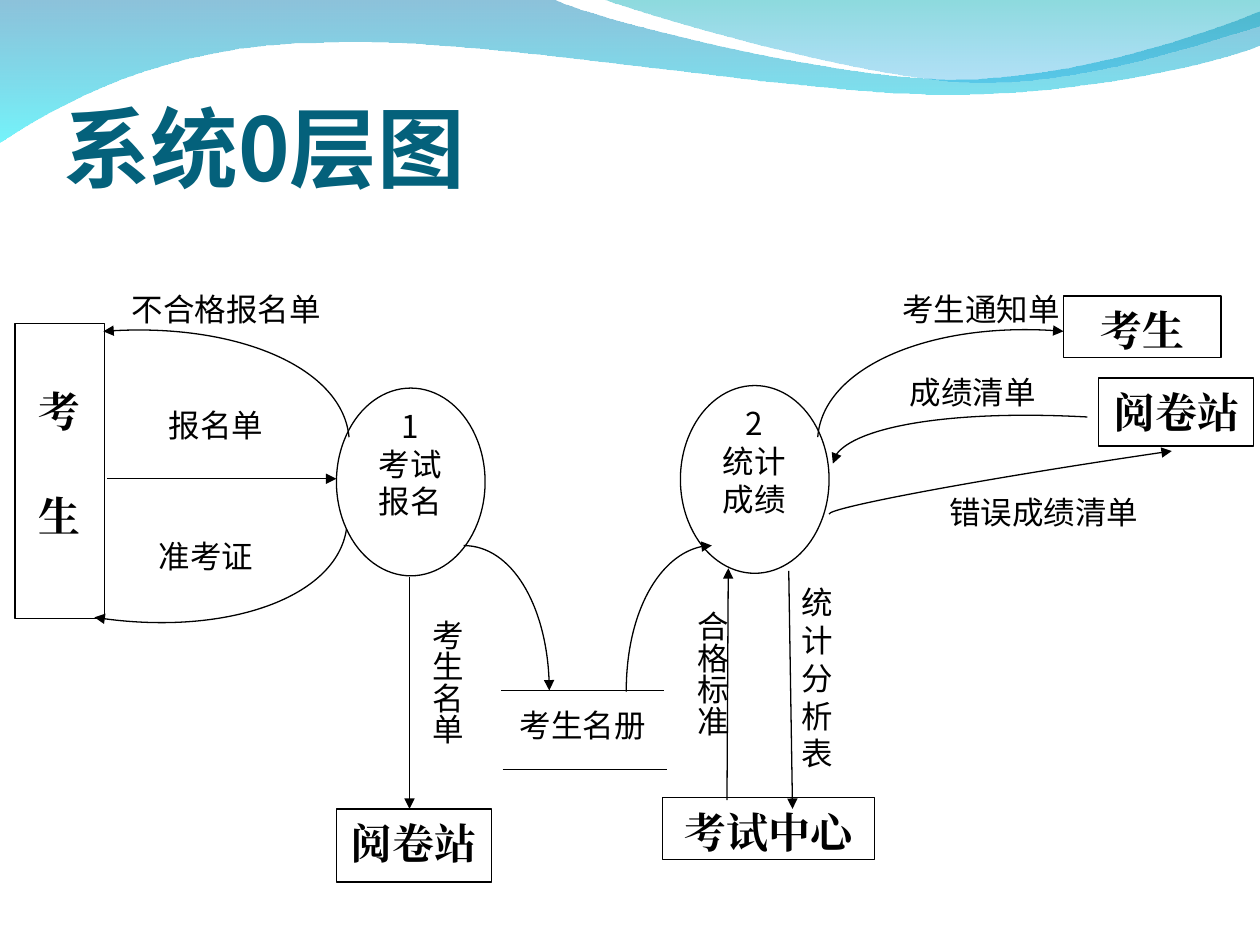
from lxml import etree
from pptx import Presentation
from pptx.dml.color import RGBColor
from pptx.enum.shapes import MSO_CONNECTOR as CONN, MSO_SHAPE as SHAPE
from pptx.enum.text import MSO_ANCHOR as ANCHOR, PP_ALIGN as ALIGN
from pptx.oxml import parse_xml
from pptx.oxml.ns import nsdecls, qn
from pptx.util import Cm, Pt

COLORS = {"title": "04617B", "ink": "000000"}
SANS, SERIF = "Noto Sans CJK SC", "Times New Roman"

# All coordinates are on an inch grid; u() turns them into Cm lengths.
TITLE = ("系统0层图", (0.5, 0.33, 9, 1.25))

# Outline: start point, then 1 point for a straight side or 3 for a Bezier.
WAVES = [
    ((0, 0), [
        [(4.4, 0)],
        [(4.76, 0.17), (6.64, 0.63), (7.58, 0.63)],
        [(8.53, 0.63), (9.58, 0.26), (10, 0.09)],
        [(10, 0.36)],
        [(9.83, 0.44), (8.7, 0.76), (7.46, 0.75)],
        [(6.22, 0.75), (3.82, 0.28), (2.57, 0.34)],
        [(1.29, 0.35), (0.46, 0.83), (0, 1.13)],
    ], [(0, "0079AF", 45), (100, "00EBF8", 55)]),
    ((4.79, 0), [
        [(5.09, 0.11), (6.82, 0.62), (7.69, 0.65)],
        [(8.56, 0.69), (9.61, 0.32), (10, 0.21)],
        [(10, 0)],
    ], [(0, "00ADB6", 45), (100, "009BE5", 30)]),
]

PROCESSES = [
    (["1", "考试", "报名"], (2.67, 3.08)),
    (["2", "统计", "成绩"], (5.4, 3.06)),
]
PROCESS_SIZE = (1.18, 1.49)

ENTITIES = [
    (["考生"], (8.44, 2.35, 1.25, 0.49)),
    (["考", "生"], (0.12, 2.57, 0.71, 2.34)),
    (["阅卷站"], (2.67, 6.42, 1.23, 0.58)),
    (["考试中心"], (5.26, 6.33, 1.68, 0.49)),
    (["阅卷站"], (8.72, 3, 1.23, 0.54)),
]

# Text, box, line spacing
LABELS = [
    ("不合格报名单", (0.67, 2.25, 2.25, 0.81), None),
    ("报名单", (1.06, 3.17, 1.31, 0.82), None),
    ("准考证", (0.98, 4.21, 1.31, 0.82), None),
    ("统计分析表", (6.25, 4.58, 0.48, 0.79), None),
    ("考生通知单", (6.94, 2.25, 1.69, 0.82), None),
    ("错误成绩清单", (7.29, 3.96, 1.99, 0.37), 0.64),
    ("成绩清单", (6.94, 3.01, 1.56, 0.21), 0.64),
    ("考生名册", (3.96, 5.55, 1.33, 0.79), None),
]
VERTICAL_LABELS = [
    ("考生名单", (2.91, 4.82, 0.84, 1.77)),
    ("合格标准", (5.01, 4.75, 0.84, 1.77)),
]

ARROWS = [
    ((0.85, 3.8), (2.67, 3.8)),
    ((3.25, 4.58), (3.25, 6.42)),
    ((6.26, 4.53), (6.29, 6.42)),
    ((5.77, 6.35), (5.78, 4.51)),
]
STORE_LINES = [((3.98, 5.48), (5.27, 5.48)), ((3.99, 6.11), (5.29, 6.11))]
CURVED_ARROWS = [
    ((2.77, 3.47), (2.72, 2.92), (1.85, 2.55), (0.82, 2.63)),
    ((2.75, 4.2), (2.67, 4.74), (1.77, 5.06), (0.75, 4.9)),
    ((6.49, 3.47), (6.53, 2.92), (7.41, 2.54), (8.44, 2.63)),
    ((6.58, 4.08), (6.58, 4.03), (7.79, 3.8), (9.3, 3.58)),
    ((8.63, 3.31), (7.53, 3.25), (6.62, 3.42), (6.61, 3.68)),
    ((3.68, 4.33), (4.06, 4.33), (4.36, 4.84), (4.36, 5.48)),
    ((4.97, 5.49), (4.97, 4.85), (5.28, 4.33), (5.65, 4.33)),
]


def u(*values):
    return [Cm(v * 2.54) for v in values]


def style_font(p, size, font, color, bold=False):
    f = p.font
    f.size, f.name, f.bold = Pt(size), font, bold
    f.color.rgb = RGBColor.from_string(COLORS[color])
    latin = next(p._p.iter(qn("a:latin")))
    latin.addnext(parse_xml(f'<a:ea {nsdecls("a")} typeface="{font}"/>'))


def write(sp, lines, size, font, bold=False, spacing=None, gap=0):
    tf = sp.text_frame
    tf.word_wrap = True
    tf.margin_left, tf.margin_right, tf.margin_top, tf.margin_bottom = u(0.1, 0.1, 0.05, 0.05)
    tf.vertical_anchor = ANCHOR.TOP
    for i, line in enumerate(lines):
        p = tf.paragraphs[0] if i == 0 else tf.add_paragraph()
        p.text, p.alignment = line, ALIGN.CENTER
        if spacing:
            p.line_spacing = spacing
        if i and gap:
            p.space_before = Pt(gap)
        style_font(p, size, font, "ink", bold)
    return tf


def add_label(shapes, lines, box, spacing=None):
    return write(shapes.add_textbox(*u(*box)), lines, 18, SANS, spacing=spacing)


def outline(sp):
    sp.line.color.rgb = RGBColor.from_string(COLORS["ink"])
    sp.line.width = Pt(0.75)


def add_outlined(shapes, kind, box):
    sp = shapes.add_shape(kind, *u(*box))
    sp.shadow.inherit = False
    sp.fill.background()
    outline(sp)
    return sp


def add_arrowhead(sp):
    etree.SubElement(sp.line._get_or_add_ln(), qn("a:tailEnd"), type="triangle")


def add_line(shapes, start, end):
    line = shapes.add_connector(CONN.STRAIGHT, *u(*start, *end))
    outline(line)
    etree.SubElement(line._element.spPr, qn("a:effectLst"))
    return line


def add_path(shapes, start, segments, close):
    """Build a freeform whose three-point segments are cubic Beziers."""
    builder = shapes.build_freeform(*u(*start))
    builder.add_line_segments([u(*pt) for seg in segments for pt in seg], close=close)
    sp = builder.convert_to_shape()
    sp.shadow.inherit = False
    sides = iter(list(sp._element.iter(qn("a:lnTo"))))
    for seg in segments:
        first, *rest = [next(sides) for _ in seg]
        if rest:
            first.tag = qn("a:cubicBezTo")
            for side in rest:
                first.append(side[0])
                side.getparent().remove(side)
    return sp


def fill_gradient(sp, stops):
    sp.fill.background()
    gs = "".join(
        f'<a:gs pos="{pos * 1000}"><a:srgbClr val="{color}">'
        f'<a:alpha val="{alpha * 1000}"/></a:srgbClr></a:gs>'
        for pos, color, alpha in stops)
    spPr = sp._element.spPr
    spPr.replace(spPr.find(qn("a:noFill")), parse_xml(
        f'<a:gradFill {nsdecls("a")}><a:gsLst>{gs}</a:gsLst>'
        '<a:lin ang="5400000" scaled="0"/></a:gradFill>'))


def main():
    prs = Presentation()
    prs.slide_width, prs.slide_height = u(10, 7.5)
    s = prs.slides.add_slide(prs.slide_layouts[5])
    shapes = s.shapes

    for start, segments, stops in WAVES:
        sp = add_path(shapes, start, segments, close=True)
        fill_gradient(sp, stops)
        sp.line.fill.background()

    title = shapes.title
    text, box = TITLE
    title.left, title.top, title.width, title.height = u(*box)
    tf = title.text_frame
    tf.text, tf.vertical_anchor = text, ANCHOR.BOTTOM
    tf.margin_left, tf.margin_right, tf.margin_top, tf.margin_bottom = u(0, 0, 0.05, 0)
    tf.paragraphs[0].alignment = ALIGN.LEFT
    style_font(tf.paragraphs[0], 50, SANS, "title", True)

    for lines, (x, y) in PROCESSES:
        w, h = PROCESS_SIZE
        add_outlined(shapes, SHAPE.OVAL, (x, y, w, h))
        add_label(shapes, lines, (x - 0.09, y + 0.1, w + 0.17, h - 0.12))

    for lines, box in ENTITIES:
        sp = add_outlined(shapes, SHAPE.RECTANGLE, box)
        tf = write(sp, lines, 24, SERIF, True, 1.05, gap=30)
        if len(lines) > 1:
            tf.vertical_anchor = ANCHOR.MIDDLE
            tf.margin_bottom = u(0.2)[0]

    for text, box, spacing in LABELS:
        add_label(shapes, [text], box, spacing)
    for text, box in VERTICAL_LABELS:
        add_label(shapes, [text], box)._txBody.bodyPr.set("vert", "eaVert")

    for start, end in STORE_LINES:
        add_line(shapes, start, end)
    for start, end in ARROWS:
        add_arrowhead(add_line(shapes, start, end))
    for start, *curve in CURVED_ARROWS:
        sp = add_path(shapes, start, [curve], close=False)
        sp.fill.background()
        outline(sp)
        add_arrowhead(sp)

    prs.save("out.pptx")


if __name__ == "__main__":
    main()
